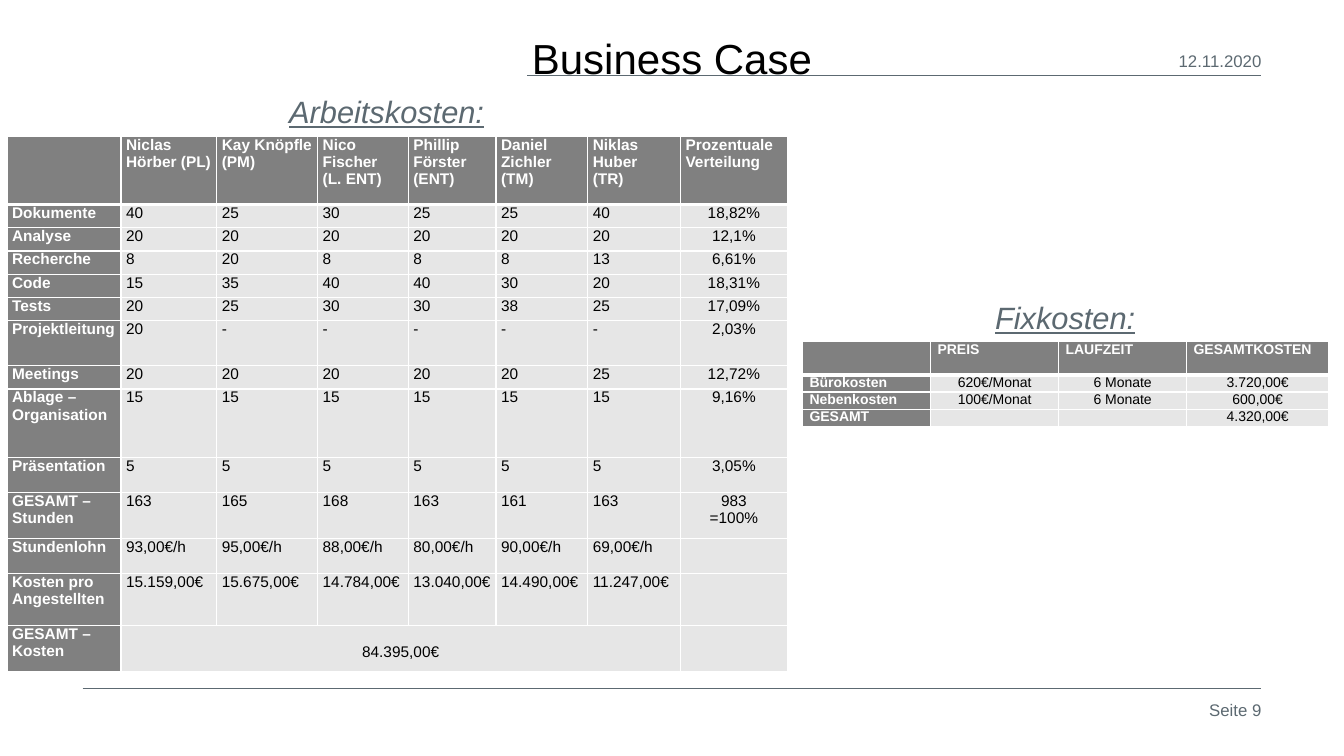
import pptx
import pptx.dml.color
import pptx.enum.shapes
import pptx.enum.text
import pptx.oxml.ns
import pptx.util
from lxml import etree

PX = 9144  # 100 px to the inch
FONT = "Arial"
SLATE, BLACK, WHITE = "5C6971", "000000", "FFFFFF"
HEAD_FILL, BODY_FILL = "808080", "E6E6E6"
LEFT, CENTER, RIGHT = (pptx.enum.text.PP_ALIGN.LEFT, pptx.enum.text.PP_ALIGN.CENTER,
                       pptx.enum.text.PP_ALIGN.RIGHT)
TOP, MIDDLE, BOTTOM = (pptx.enum.text.MSO_ANCHOR.TOP, pptx.enum.text.MSO_ANCHOR.MIDDLE,
                       pptx.enum.text.MSO_ANCHOR.BOTTOM)

LABOUR_COLUMNS = [113, 95, 100, 90, 87, 91, 92, 106]
LABOUR_HEIGHTS = [68, 23, 23, 23, 23, 23, 45, 23, 68, 35, 45, 35, 52, 45]
LABOUR_ROWS = [
    ["", "Niclas Hörber (PL)", "Kay Knöpfle\n(PM)", "Nico Fischer\n(L. ENT)",
     "Phillip Förster\n(ENT)", "Daniel Zichler\n(TM)", "Niklas Huber\n(TR)",
     "Prozentuale Verteilung"],
    ["Dokumente", "40", "25", "30", "25", "25", "40", "18,82%"],
    ["Analyse", "20", "20", "20", "20", "20", "20", "12,1%"],
    ["Recherche", "8", "20", "8", "8", "8", "13", "6,61%"],
    ["Code", "15", "35", "40", "40", "30", "20", "18,31%"],
    ["Tests", "20", "25", "30", "30", "38", "25", "17,09%"],
    ["Projektleitung", "20", "-", "-", "-", "-", "-", "2,03%"],
    ["Meetings", "20", "20", "20", "20", "20", "25", "12,72%"],
    ["Ablage –\nOrganisation", "15", "15", "15", "15", "15", "15", "9,16%"],
    ["Präsentation", "5", "5", "5", "5", "5", "5", "3,05%"],
    ["GESAMT –\nStunden", "163", "165", "168", "163", "161", "163", "983\n=100%"],
    ["Stundenlohn", "93,00€/h", "95,00€/h", "88,00€/h", "80,00€/h", "90,00€/h",
     "69,00€/h", ""],
    ["Kosten pro Angestellten", "15.159,00€", "15.675,00€", "14.784,00€", "13.040,00€",
     "14.490,00€", "11.247,00€", ""],
    ["GESAMT –\nKosten", "84.395,00€", "", "", "", "", "", ""],
]
FIXED_COLUMNS = [127, 127, 127, 141]
FIXED_HEIGHTS = [33, 17, 17, 17]
FIXED_ROWS = [
    ["", "PREIS", "LAUFZEIT", "GESAMTKOSTEN"],
    ["Bürokosten", "620€/Monat", "6 Monate", "3.720,00€"],
    ["Nebenkosten", "100€/Monat", "6 Monate", "600,00€"],
    ["GESAMT", "", "", "4.320,00€"],
]


def px(value):
    return pptx.util.Emu(value * PX)


def color(code):
    return pptx.dml.color.RGBColor.from_string(code)


def write(frame, text, size, code, align=LEFT, bold=False, accent=False):
    """Fill a text frame, one paragraph per line; accent is italic and underlined."""
    for index, line in enumerate(text.split("\n")):
        para = frame.add_paragraph() if index else frame.paragraphs[0]
        para.alignment = align
        if not line:  # an empty cell keeps the height of a small line
            end = etree.SubElement(para._p, pptx.oxml.ns.qn("a:endParaRPr"))
            end.set("sz", str(size * 100))
            continue
        span = para.add_run()
        span.text = line
        span.font.name = FONT
        span.font.size = pptx.util.Pt(size)
        span.font.color.rgb = color(code)
        span.font.bold = bold
        span.font.italic = span.font.underline = accent


def add_text(page, area, text, size, code, align, anchor=TOP, accent=False):
    box = page.shapes.add_textbox(*map(px, area))
    frame = box.text_frame
    frame.word_wrap = True
    frame.vertical_anchor = anchor
    frame.margin_left = frame.margin_right = px(10)
    frame.margin_top = frame.margin_bottom = px(5)
    write(frame, text, size, code, align, accent=accent)


def add_rule(page, left, right, y):
    line = page.shapes.add_connector(pptx.enum.shapes.MSO_CONNECTOR.STRAIGHT,
                                     px(left), px(y), px(right), px(y))
    line.line.color.rgb = color(SLATE)
    line.line.width = pptx.util.Pt(0.25)
    etree.SubElement(line._element.spPr, pptx.oxml.ns.qn("a:effectLst"))


def set_borders(cell, widths):
    """White borders; widths in points for left, right, top, bottom."""
    properties = cell._tc.get_or_add_tcPr()
    for index, (side, width) in enumerate(zip("LRTB", widths)):
        border = etree.Element(pptx.oxml.ns.qn(f"a:ln{side}"), w=str(pptx.util.Pt(width)))
        fill = etree.SubElement(border, pptx.oxml.ns.qn("a:solidFill"))
        etree.SubElement(fill, pptx.oxml.ns.qn("a:srgbClr"), val=WHITE)
        properties.insert(index, border)


def add_cost_table(page, left, top, columns, heights, rows, size, inset, centered):
    """Dark first row and column, light body; body columns from centered on are centred."""
    frame = page.shapes.add_table(len(rows), len(columns), px(left), px(top),
                                  px(sum(columns)), px(sum(heights)))
    table = frame.table
    table.first_row = table.horz_banding = False
    for column, width in zip(table.columns, columns):
        column.width = px(width)
    for row, height in zip(table.rows, heights):
        row.height = px(height)
    for r, texts in enumerate(rows):
        for c, text in enumerate(texts):
            cell = table.cell(r, c)
            head = r == 0 or c == 0
            cell.margin_left = cell.margin_right = px(inset)
            cell.margin_top = cell.margin_bottom = 0
            cell.fill.solid()
            cell.fill.fore_color.rgb = color(HEAD_FILL if head else BODY_FILL)
            set_borders(cell, (1, 1, 3 if r == 1 else 1, 3 if r == 0 else 1))
            align = CENTER if r > 0 and c >= centered else LEFT
            write(cell.text_frame, text, size, WHITE if head else BLACK, align, bold=head)
    return table


def main():
    deck = pptx.Presentation()
    deck.slide_width, deck.slide_height = px(1333), px(750)
    page = deck.slides.add_slide(deck.slide_layouts[6])

    # Rules under the title and above the footer
    add_rule(page, 523, 1251, 75)
    add_rule(page, 82, 1251, 683)

    # Labour costs, with one total across all people
    labour = add_cost_table(page, 7, 135, LABOUR_COLUMNS, LABOUR_HEIGHTS, LABOUR_ROWS,
                            size=11, inset=5, centered=7)
    total = labour.cell(13, 1)
    total.merge(labour.cell(13, 6))
    total.margin_top = px(18)
    total.text_frame.paragraphs[0].alignment = CENTER

    # Fixed costs
    add_cost_table(page, 796, 339, FIXED_COLUMNS, FIXED_HEIGHTS, FIXED_ROWS,
                   size=10, inset=7, centered=1)

    # Date, page number and headings
    add_text(page, (996, 45, 265, 31), "12.11.2020", 12, SLATE, RIGHT)
    add_text(page, (1138, 689, 123, 50), "Seite 9", 12, SLATE, RIGHT)
    add_text(page, (930, 307, 253, 31), "Fixkosten:", 22, SLATE, CENTER, BOTTOM, accent=True)
    add_text(page, (257, 103, 253, 31), "Arbeitskosten:", 22, SLATE, CENTER, BOTTOM, accent=True)
    add_text(page, (92, 11, 1149, 92), "Business Case", 30, BLACK, CENTER, MIDDLE)

    deck.save("out.pptx")


if __name__ == "__main__":
    main()
